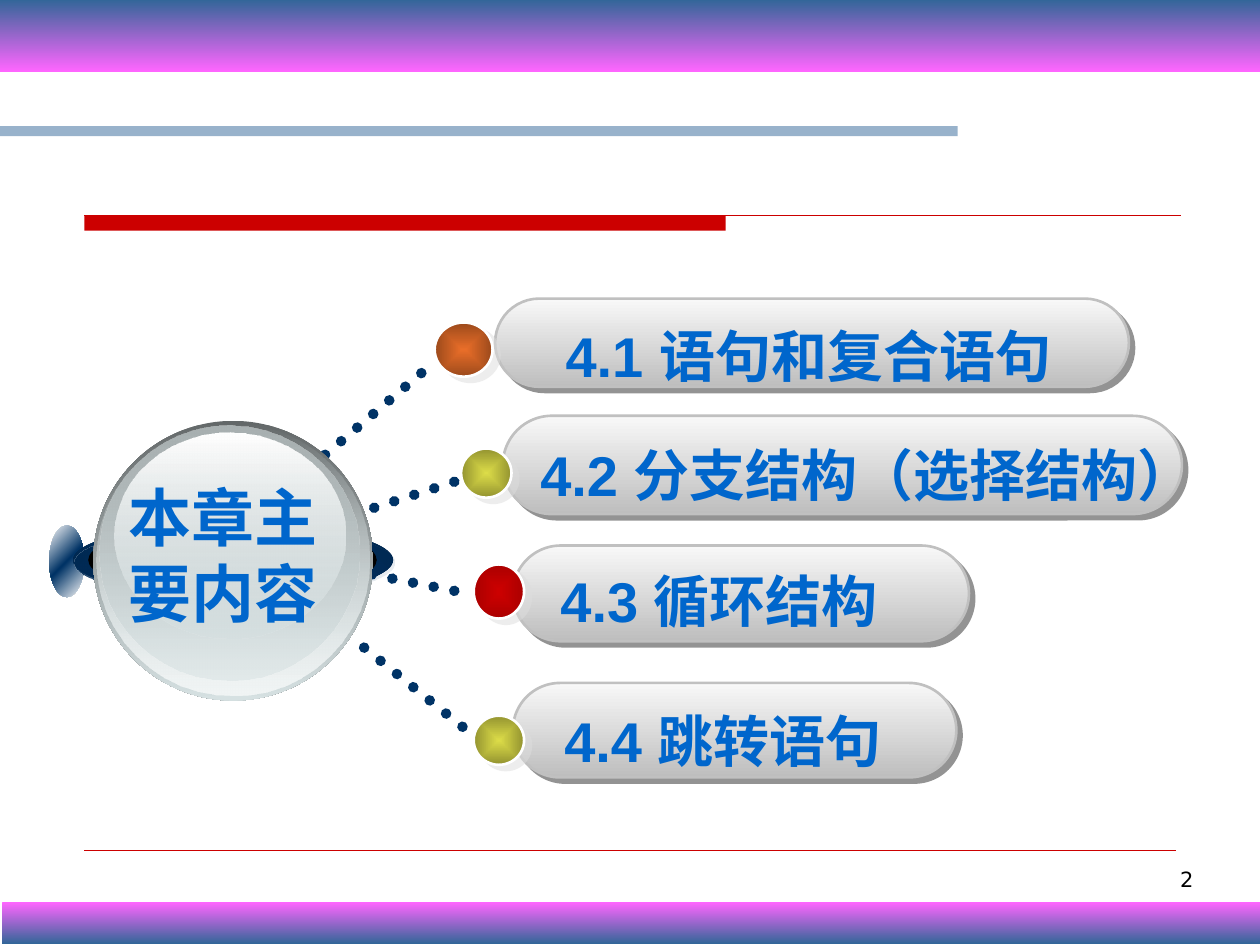
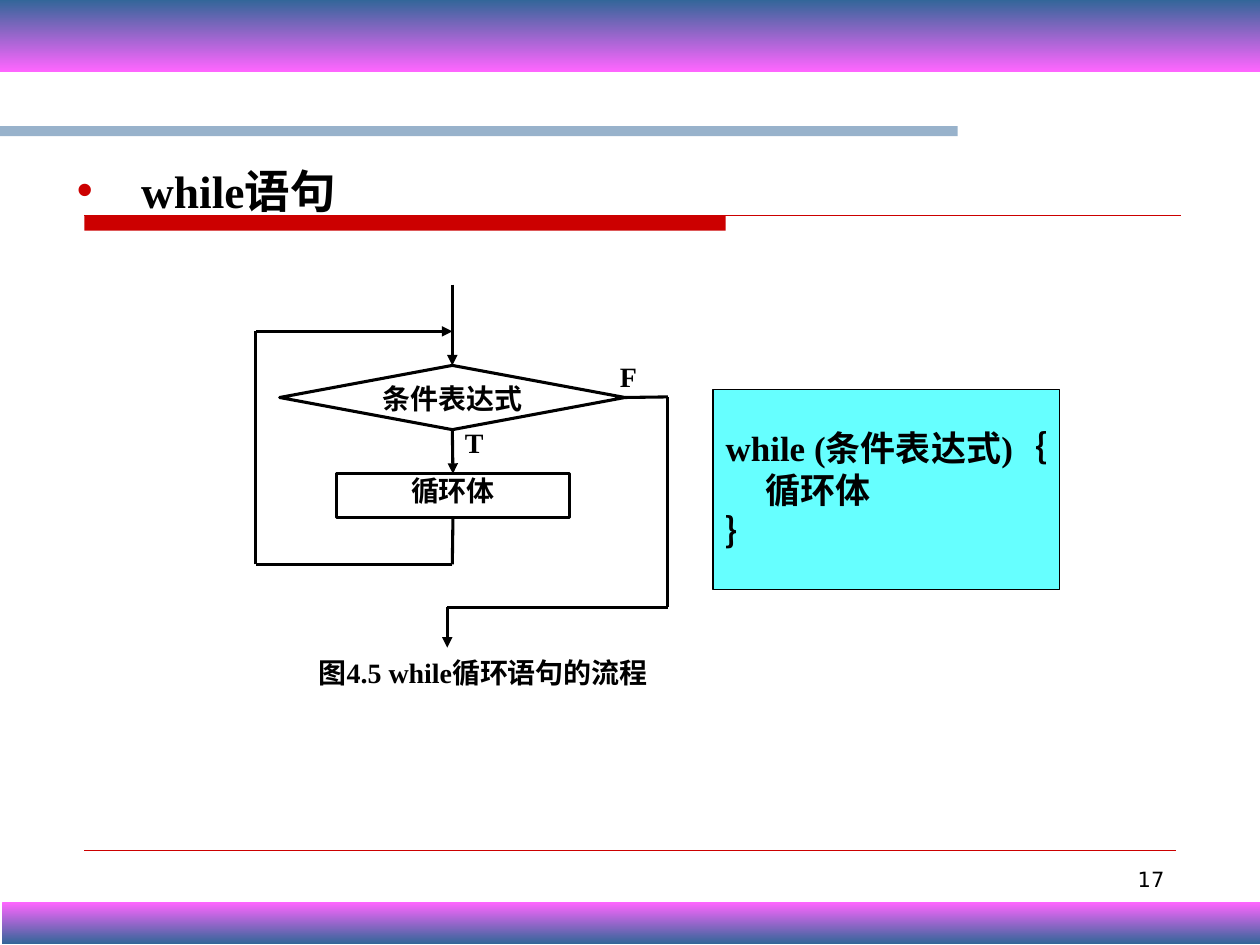
from pptx import Presentation
from pptx.dml.color import RGBColor
from pptx.enum.dml import MSO_LINE
from pptx.enum.shapes import MSO_CONNECTOR, MSO_SHAPE
from pptx.enum.text import MSO_ANCHOR, PP_ALIGN
from pptx.oxml import parse_xml
from pptx.oxml.ns import nsdecls, qn
from pptx.util import Emu, Inches, Pt

RECT, OVAL = MSO_SHAPE.RECTANGLE, MSO_SHAPE.OVAL
PILL, DECISION = MSO_SHAPE.ROUNDED_RECTANGLE, MSO_SHAPE.FLOWCHART_DECISION
STRAIGHT, DOTS = MSO_CONNECTOR.STRAIGHT, MSO_LINE.ROUND_DOT
TOP, MIDDLE = MSO_ANCHOR.TOP, MSO_ANCHOR.MIDDLE
LEFT, CENTER, RIGHT, JUSTIFY = PP_ALIGN.LEFT, PP_ALIGN.CENTER, PP_ALIGN.RIGHT, PP_ALIGN.JUSTIFY

WIDTH, HEIGHT, COLUMNS = Inches(10), Inches(7.5), 10
CELL = WIDTH / COLUMNS
NAVY, STEEL, PINK, RED, BLUE = "003366", "336699", "FF66FF", "CC0000", "0066CC"
BLACK, WHITE, CYAN = "000000", "FFFFFF", "66FFFF"
SANS, SERIF, CJK, NUMBER = "Arial", "Times New Roman", "Noto Sans CJK SC", "DejaVu Sans"
PILL_FILL = [(0, "F8F8F8"), (100, "BEBEBE")]
ORANGE_BALL = [(0, "E96E29"), (100, "9B491B")]
OLIVE_BALL = [(0, "DCDC48"), (100, "939330")]
RED_BALL = [(0, RED), (100, "AB0000")]
CODE = "while (条件表达式)｛\n     循环体\n｝"
FLOW = dict(size=16, font=SERIF, bold=True, inset=0)


def grid(*cells):
    return [Emu(round(c * CELL)) for c in cells]


def rgb(color):
    return RGBColor.from_string(color)


def color_xml(color, alpha=100):
    return f'<a:srgbClr val="{color}"><a:alpha val="{alpha * 1000}"/></a:srgbClr>'


def fill_shape(s, fill, angle):
    if isinstance(fill, str):
        s.fill.solid()
        s.fill.fore_color.rgb = rgb(fill)
        return
    stops = "".join(f'<a:gs pos="{pos * 1000}">{color_xml(*color)}</a:gs>' for pos, *color in fill)
    if angle is None:
        direction = ('<a:path path="shape"><a:fillToRect l="50000" t="50000" '
                     'r="50000" b="50000"/></a:path>')
    else:
        direction = f'<a:lin ang="{angle * 60000}" scaled="0"/>'
    s.fill.solid()
    spPr = s.element.spPr
    spPr.replace(spPr.find(qn("a:solidFill")), parse_xml(
        f'<a:gradFill {nsdecls("a")} rotWithShape="1"><a:gsLst>{stops}</a:gsLst>'
        f'{direction}</a:gradFill>'))


def add_shape(slide, kind, box, fill, angle=90, line=None, width=1.75, shadow=None):
    s = slide.shapes.add_shape(kind, *grid(*box))
    fill_shape(s, fill, angle)
    if line:
        s.line.color.rgb = rgb(line)
        s.line.width = Pt(width)
    else:
        s.line.fill.background()
    s.shadow.inherit = False
    if shadow:
        color, distance, direction = shadow
        s.element.spPr.find(qn("a:effectLst")).append(parse_xml(
            f'<a:outerShdw {nsdecls("a")} dist="{Pt(distance)}" dir="{direction * 60000}" '
            f'algn="ctr" rotWithShape="0">{color_xml(color, 50)}</a:outerShdw>'))
    return s


def add_line(slide, start, end, color=BLACK, width=1.75, dotted=False, arrow=False,
             begin=None, finish=None):
    s = slide.shapes.add_connector(STRAIGHT, *grid(*start, *end))
    s.line.color.rgb = rgb(color)
    s.line.width = Pt(width)
    spPr = s.element.spPr
    ln = spPr.find(qn("a:ln"))
    if dotted:
        s.line.dash_style = DOTS
        ln.set("cap", "rnd")
    if arrow:
        ln.append(parse_xml(f'<a:tailEnd {nsdecls("a")} type="triangle"/>'))
    spPr.append(parse_xml(f'<a:effectLst {nsdecls("a")}/>'))
    if begin:
        s.begin_connect(*begin)
    if finish:
        s.end_connect(*finish)
    return s


def write(s, text, size, font, color=BLACK, bold=False, align=LEFT, anchor=TOP,
          inset=None, spacing=None, wrap=True, bullet=None):
    tf = s.text_frame
    tf.word_wrap = wrap
    tf.vertical_anchor = anchor
    if inset is not None:
        tf.margin_left = tf.margin_right = tf.margin_top = tf.margin_bottom = inset
    tf.text = text
    for p in tf.paragraphs:
        p.alignment = align
        if spacing:
            p.line_spacing = spacing
        if bullet:
            mark, mark_color, indent = bullet
            pPr = p._p.get_or_add_pPr()
            pPr.set("marL", str(indent))
            pPr.set("indent", str(-indent))
            for xml in (f'<a:buClr {nsdecls("a")}>{color_xml(mark_color)}</a:buClr>',
                        f'<a:buFont {nsdecls("a")} typeface="{SANS}"/>',
                        f'<a:buChar {nsdecls("a")} char="{mark}"/>'):
                pPr.append(parse_xml(xml))
        for r in p.runs:
            r.font.size = Pt(size)
            r.font.bold = bold
            r.font.color.rgb = rgb(color)
            r.font.name = font
            r.font._element.append(parse_xml(f'<a:ea {nsdecls("a")} typeface="{CJK}"/>'))


def add_text(slide, box, text, **fmt):
    write(slide.shapes.add_textbox(*grid(*box)), text, **fmt)


def add_frame(slide, number, number_box):
    add_shape(slide, RECT, (0.67, 1.71, 5.09, 0.12), RED)
    add_line(slide, (0.67, 1.71), (9.37, 1.71), RED, 0.75)
    add_line(slide, (0.67, 6.75), (9.33, 6.75), RED, 0.25)
    add_shape(slide, RECT, (0, 1, 7.6, 0.08), [(0, STEEL, 50), (100, STEEL, 50)])
    add_shape(slide, RECT, (0.02, 7.16, 10, 0.33), [(0, PINK), (100, STEEL)])
    add_shape(slide, RECT, (0, 0, 10, 0.57), [(0, STEEL), (100, PINK)])
    add_text(slide, number_box, number, size=12, font=NUMBER, align=RIGHT)


def add_hub(slide):
    ovals = [
        ((0.39, 4.17, 0.28, 0.57), [(0, WHITE), (50, NAVY), (100, WHITE)], 45),
        ((0.58, 4.16, 2.54, 0.57), [(0, "00274E"), (50, NAVY), (100, "00274E")], 315),
        ((0.59, 4.18, 2.54, 0.57), [(0, "002A54"), (100, NAVY, 0)], 45),
        ((0.7, 4.16, 2.29, 0.57), BLACK, 90),
        ((0.74, 3.34, 2.22, 2.22), [(0, "636869"), (100, "D6E1E2")], 90),
        ((0.77, 3.36, 2.16, 2.16), [(0, "D6E1E2", 0), (100, "F1F5F5")], 90),
        ((0.79, 3.38, 2.06, 2.02), [(0, "AAB2B3"), (100, "D6E1E2", 48)], 90),
        ((0.91, 3.43, 1.83, 1.64), [(0, WHITE), (100, "D6E1E2", 38)], 90),
    ]
    for box, fill, angle in ovals:
        add_shape(slide, OVAL, box, fill, angle)
    add_text(slide, (0.92, 3.5, 1.9, 1.8), "本章主\v要内容", size=36, font=CJK,
             color=BLUE, bold=True, anchor=MIDDLE)


def add_topic(slide, pill, ball, ball_fill, label, text):
    s = add_shape(slide, PILL, pill, PILL_FILL, line="C0C0C0", width=1.5,
                  shadow=("292929", 4.2, 45))
    s.adjustments[0] = 0.5
    add_shape(slide, OVAL, ball, ball_fill, angle=None, line=WHITE, width=1.5,
              shadow=("DDDDDD", 5, 37))
    add_text(slide, label, text, size=32, font=SANS, color=BLUE, bold=True, spacing=1.3)


def build_contents(prs):
    slide = prs.slides.add_slide(prs.slide_layouts[6])
    add_frame(slide, "2", (9.1, 6.83, 0.47, 0.52))
    spokes = [((2.58, 3.61), (3.44, 2.88)), ((2.89, 5.14), (3.76, 5.84)),
              ((2.97, 4.03), (3.74, 3.78)), ((2.95, 4.56), (3.76, 4.72))]
    for start, end in spokes:
        add_line(slide, start, end, NAVY, 6, dotted=True)
    add_hub(slide)
    topics = [
        ((3.93, 2.37, 5.03, 0.7), (3.45, 2.56, 0.46, 0.43), ORANGE_BALL,
         (4.39, 2.34, 4.4, 0.8), "4.1 语句和复合语句"),
        ((3.99, 3.3, 5.39, 0.78), (3.66, 3.56, 0.4, 0.39), OLIVE_BALL,
         (4.19, 3.29, 5.54, 0.8), "4.2 分支结构（选择结构）"),
        ((4.07, 4.33, 3.62, 0.76), (3.76, 4.48, 0.4, 0.43), RED_BALL,
         (4.35, 4.29, 3.27, 0.8), "4.3 循环结构"),
        ((4.07, 5.42, 3.52, 0.75), (3.76, 5.68, 0.4, 0.39), OLIVE_BALL,
         (4.38, 5.4, 3.08, 0.8), "4.4 跳转语句"),
    ]
    for topic in topics:
        add_topic(slide, *topic)


def add_flowchart(slide):
    for box, text in (((3.69, 3.38, 0.25, 0.32), "T"), ((4.92, 2.85, 0.25, 0.32), "F")):
        write(add_shape(slide, RECT, box, WHITE), text, align=JUSTIFY, **FLOW)
    add_text(slide, (1.22, 5.2, 5.23, 0.32), "图4.5 while循环语句的流程", align=CENTER, **FLOW)
    condition = add_shape(slide, DECISION, (2.22, 2.9, 2.74, 0.51), WHITE, line=BLACK)
    write(condition, "条件表达式", align=CENTER, **FLOW)
    body = add_shape(slide, RECT, (2.67, 3.76, 1.85, 0.35), WHITE, line=BLACK)
    write(body, "循环体", align=CENTER, **FLOW)

    add_line(slide, (3.59, 2.26), (3.59, 2.9), arrow=True, finish=(condition, 0))
    add_line(slide, (3.59, 3.41), (3.59, 3.76), arrow=True,
             begin=(condition, 2), finish=(body, 0))
    add_line(slide, (3.59, 4.11), (3.59, 4.48), begin=(body, 2))
    add_line(slide, (3.59, 4.48), (2.03, 4.48))
    add_line(slide, (2.03, 4.48), (2.03, 2.63))
    add_line(slide, (2.03, 2.63), (3.59, 2.63), arrow=True)
    add_line(slide, (4.96, 3.15), (5.3, 3.15), begin=(condition, 3))
    add_line(slide, (5.3, 3.15), (5.3, 4.82))
    add_line(slide, (5.3, 4.82), (3.55, 4.82))
    add_line(slide, (3.55, 4.82), (3.55, 5.14), arrow=True)


def build_while(prs):
    slide = prs.slides.add_slide(prs.slide_layouts[5])
    add_frame(slide, "17", (7.17, 6.83, 2.17, 0.52))
    title = slide.shapes.title
    title.left, title.top, title.width, title.height = grid(0.51, 1.2, 2.63, 0.65)
    write(title, "while语句", size=26, font=SERIF, bold=True, spacing=1.1,
          bullet=("•", RED, Inches(0.51)))
    code = add_shape(slide, RECT, (5.66, 3.09, 2.75, 1.59), CYAN, line=BLACK, width=0.75)
    write(code, CODE, size=20, font=SERIF, bold=True, anchor=MIDDLE, wrap=False)
    add_flowchart(slide)


def main():
    prs = Presentation()
    prs.slide_width, prs.slide_height = WIDTH, HEIGHT
    build_contents(prs)
    build_while(prs)
    prs.save("out.pptx")


if __name__ == "__main__":
    main()
